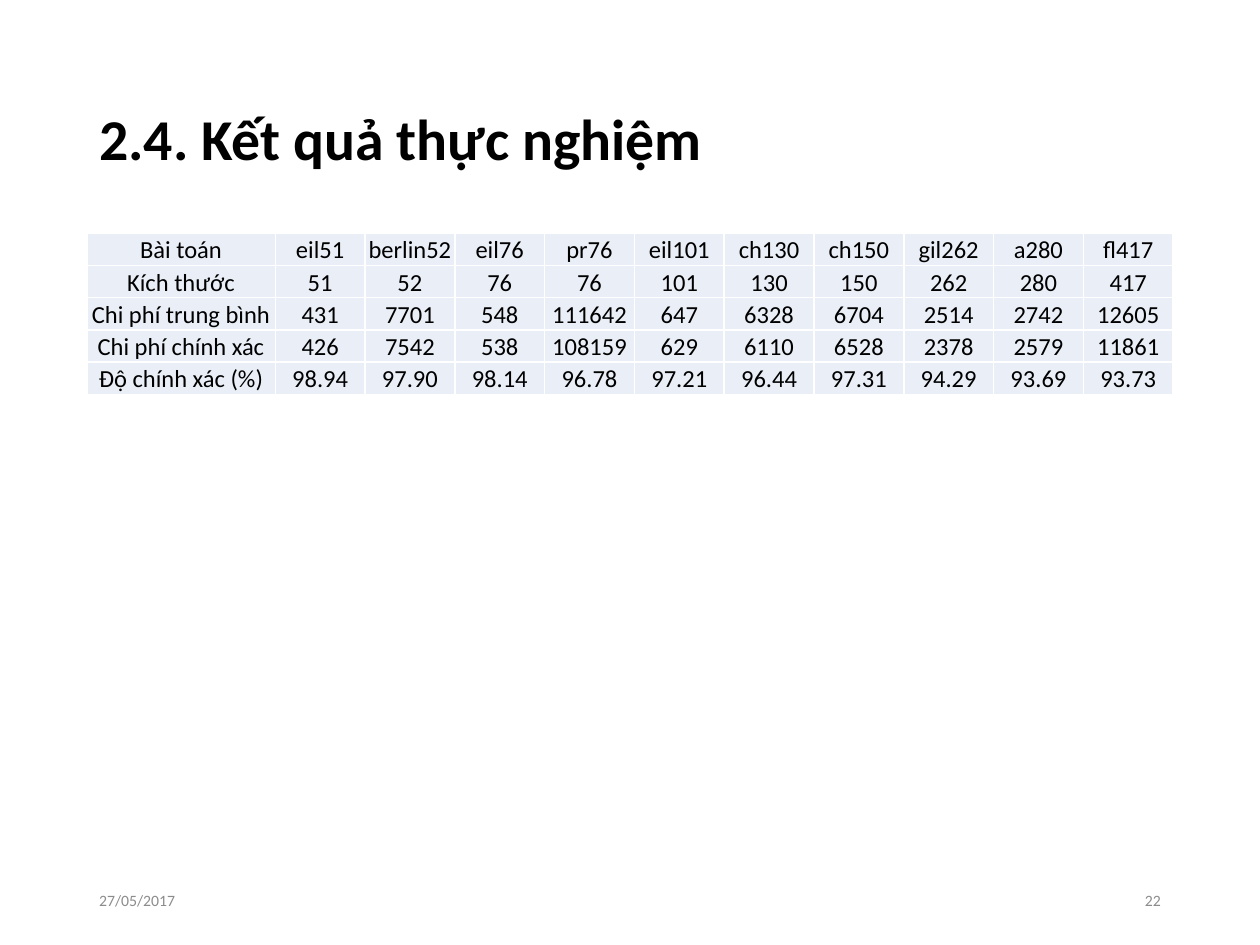
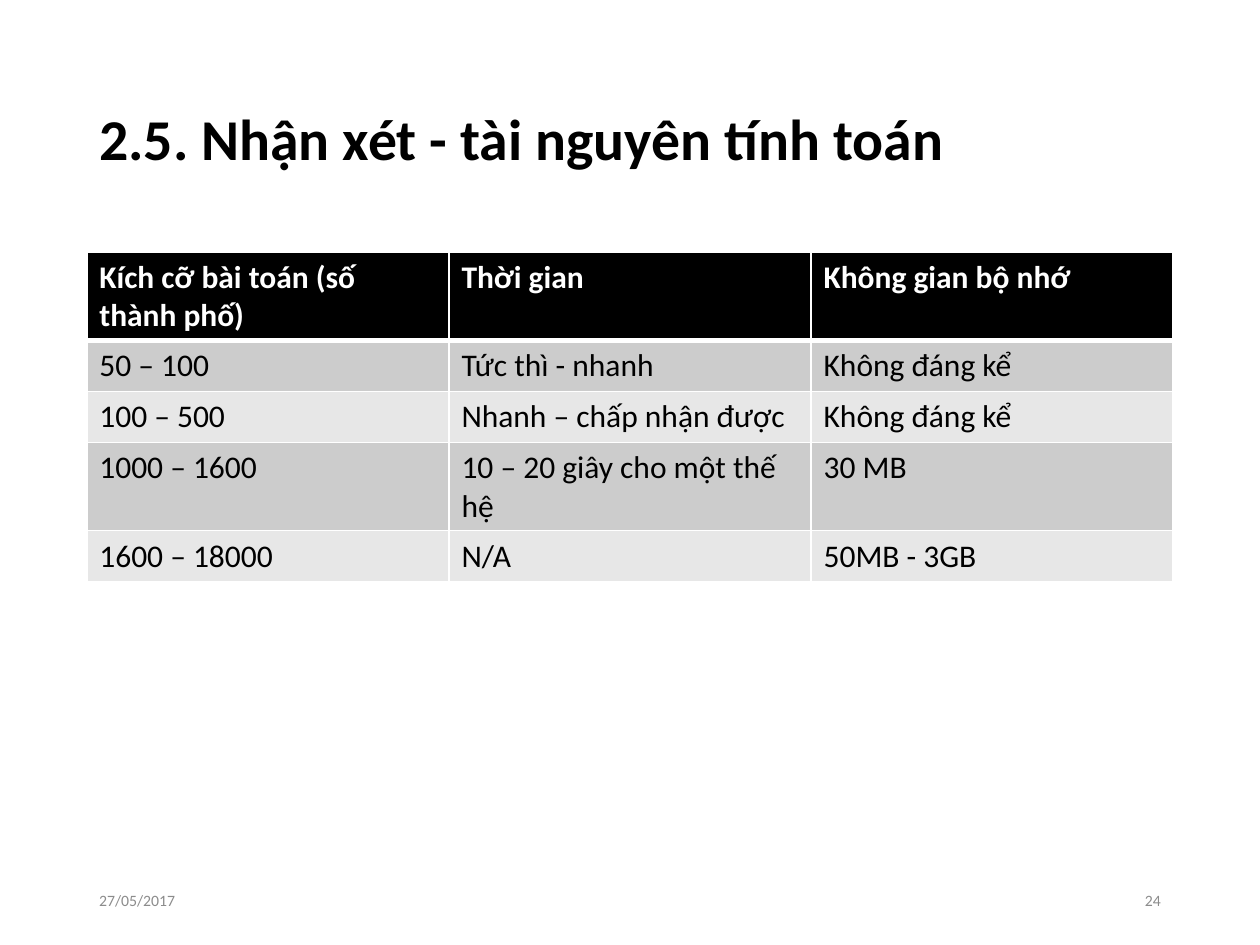
from lxml import etree
from pptx import Presentation
from pptx.dml.color import RGBColor
from pptx.enum import text
from pptx.oxml import ns
from pptx.util import Cm, Pt

COLOURS = {
    "ink": "000000",
    "paper": "FFFFFF",
    "footer": "8C8C8C",
    "result": "EAEFF7",
    "band_dark": "CCCCCC",
    "band_light": "E7E7E7",
}
FONT = "Calibri"
DATE = "27/05/2017"
LEFT = 1.75
WIDTH = 21.9
FOOTER_WIDTH = 5.72
PROBLEM_WIDTH = 1.81

RESULTS = [
    ["Bài toán", "eil51", "berlin52", "eil76", "pr76", "eil101",
     "ch130", "ch150", "gil262", "a280", "fl417"],
    ["Kích thước", "51", "52", "76", "76", "101",
     "130", "150", "262", "280", "417"],
    ["Chi phí trung bình", "431", "7701", "548", "111642", "647",
     "6328", "6704", "2514", "2742", "12605"],
    ["Chi phí chính xác", "426", "7542", "538", "108159", "629",
     "6110", "6528", "2378", "2579", "11861"],
    ["Độ chính xác (%)", "98.94", "97.90", "98.14", "96.78", "97.21",
     "96.44", "97.31", "94.29", "93.69", "93.73"],
]
RESOURCES = [
    ["Kích cỡ bài toán (số thành phố)", "Thời gian", "Không gian bộ nhớ"],
    ["50 – 100", "Tức thì - nhanh", "Không đáng kể"],
    ["100 – 500", "Nhanh – chấp nhận được", "Không đáng kể"],
    ["1000 – 1600", "10 – 20 giây cho một thế hệ", "30 MB"],
    ["1600 – 18000", "N/A", "50MB - 3GB"],
]


def rgb(colour):
    return RGBColor.from_string(COLOURS[colour])


def style(paragraph, size, colour="ink", bold=False, align=text.PP_ALIGN.LEFT):
    paragraph.alignment = align
    font = paragraph.font
    font.name, font.size, font.bold = FONT, Pt(size), bold
    font.color.rgb = rgb(colour)


def add_label(slide, words, left, top, width, height, size, **look):
    frame = slide.shapes.add_textbox(Cm(left), Cm(top), Cm(width), Cm(height)).text_frame
    frame.word_wrap = True
    frame.vertical_anchor = text.MSO_ANCHOR.MIDDLE
    frame.text = words
    paragraph = frame.paragraphs[0]
    style(paragraph, size, **look)
    return paragraph


def add_titled_slide(deck, title, number):
    slide = deck.slides.add_slide(deck.slide_layouts[6])
    heading = add_label(slide, title, LEFT, 1.01, WIDTH, 3.68, 33, bold=True)
    heading.line_spacing = 0.9
    footer = (17.65, FOOTER_WIDTH, 1.01, 9)
    top, width, height, size = footer
    add_label(slide, DATE, LEFT, top, width, height, size, colour="footer")
    add_label(slide, str(number), LEFT + WIDTH - width, top, width, height, size,
              colour="footer", align=text.PP_ALIGN.RIGHT)
    return slide


def set_borders(cell, top=1, bottom=1):
    properties = cell._tc.get_or_add_tcPr()
    for side, points in (("L", 1), ("R", 1), ("T", top), ("B", bottom)):
        line = etree.SubElement(properties, ns.qn(f"a:ln{side}"), w=str(Pt(points)))
        fill = etree.SubElement(line, ns.qn("a:solidFill"))
        etree.SubElement(fill, ns.qn("a:srgbClr"), val=COLOURS["paper"])


def add_grid(slide, rows, top, widths, row_height, format_cell):
    table = slide.shapes.add_table(
        len(rows), len(widths), Cm(LEFT), Cm(top),
        Cm(sum(widths)), Cm(row_height * len(rows))).table
    for column, width in zip(table.columns, widths):
        column.width = Cm(width)
    for row_index, row in enumerate(rows):
        for column_index, words in enumerate(row):
            cell = table.cell(row_index, column_index)
            cell.text = words
            format_cell(cell, row_index)


def fill_cell(cell, colour):
    cell.fill.solid()
    cell.fill.fore_color.rgb = rgb(colour)


def format_result(cell, row_index):
    set_borders(cell)
    fill_cell(cell, "result")
    cell.vertical_anchor = text.MSO_ANCHOR.BOTTOM
    cell.margin_left = cell.margin_right = cell.margin_top = Cm(0.02)
    cell.margin_bottom = 0
    style(cell.text_frame.paragraphs[0], 14, align=text.PP_ALIGN.CENTER)


def format_resource(cell, row_index):
    header = row_index == 0
    set_borders(cell, top=3 if row_index == 1 else 1, bottom=3 if header else 1)
    band = "band_dark" if row_index % 2 else "band_light"
    fill_cell(cell, "ink" if header else band)
    style(cell.text_frame.paragraphs[0], 18, "paper" if header else "ink", header)


def main():
    deck = Presentation()
    deck.slide_width, deck.slide_height = Cm(25.4), Cm(19.05)

    experiment = add_titled_slide(deck, "2.4. Kết quả thực nghiệm", 22)
    problems = len(RESULTS[0]) - 1
    result_widths = [WIDTH - problems * PROBLEM_WIDTH] + [PROBLEM_WIDTH] * problems
    add_grid(experiment, RESULTS, 4.7, result_widths, 0.65, format_result)

    remarks = add_titled_slide(deck, "2.5. Nhận xét - tài nguyên tính toán", 24)
    add_grid(remarks, RESOURCES, 5.08, [WIDTH / 3] * 3, 1.03, format_resource)

    deck.save("out.pptx")


if __name__ == "__main__":
    main()
